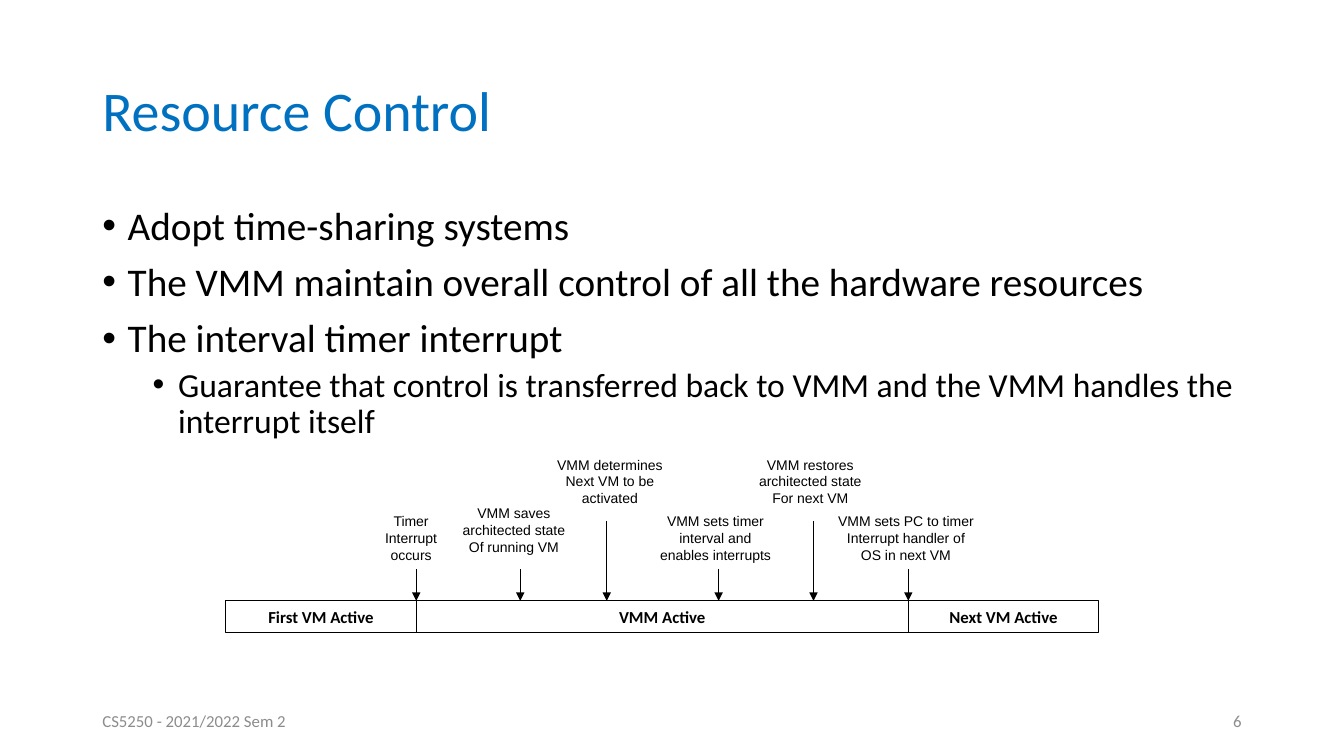
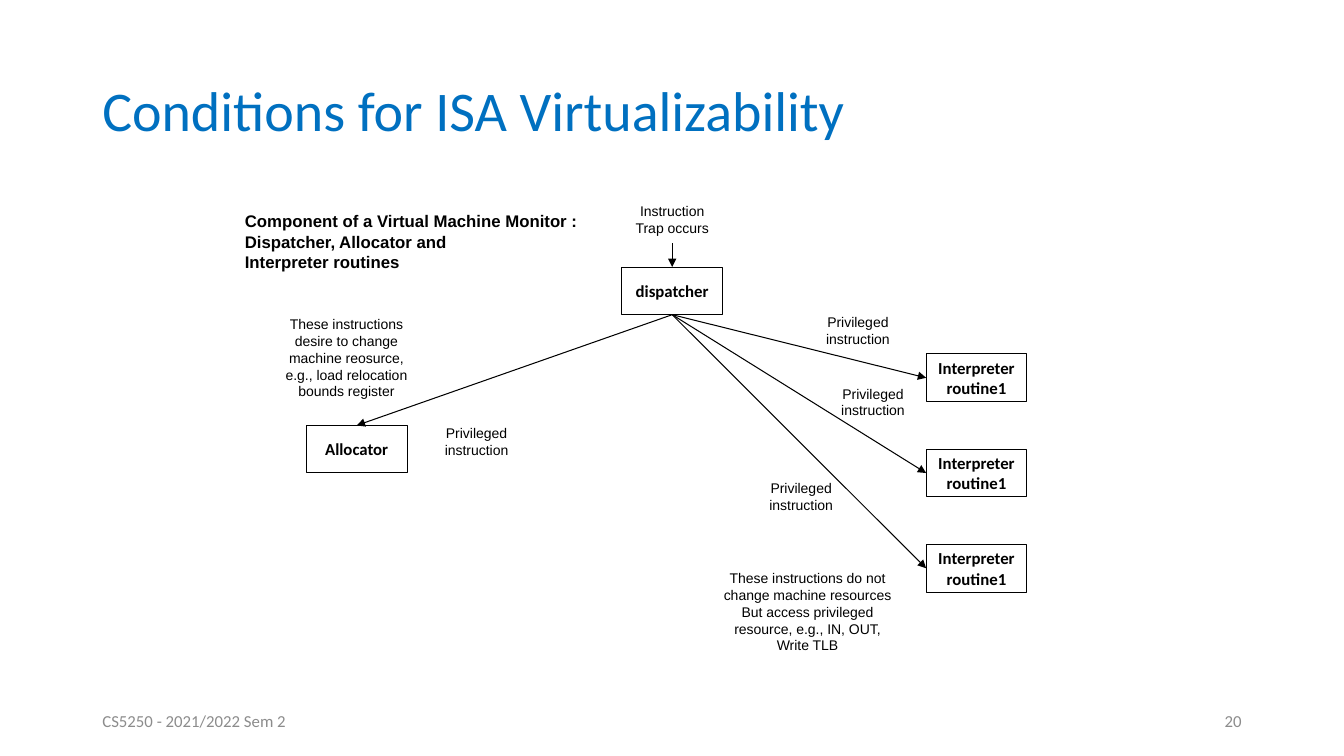
from lxml.etree import SubElement as Sub
from pptx import Presentation
from pptx.dml.color import RGBColor as Rgb
from pptx.enum.shapes import MSO_CONNECTOR as Link, MSO_SHAPE as Form
from pptx.enum.text import MSO_ANCHOR as Anchor, PP_ALIGN as Align
from pptx.oxml.ns import qn
from pptx.util import Cm, Pt

HUES = {"title": "0070C0", "ink": "000000", "foot": "8C8C8C"}
BODY, NOTE = "Calibri", "Arial"
LEFT, WIDE = 2.33, 29.21


def put(page, text, area, size=10, font=NOTE, hue="ink", bold=False,
        align=Align.CENTER, frame=False):
    spot = [Cm(n) for n in area]
    if frame:
        item = page.shapes.add_shape(Form.RECTANGLE, *spot)
        item.shadow.inherit = False
        item.fill.background()
        item.line.color.rgb = Rgb.from_string(HUES["ink"])
        item.line.width = Pt(0.75)
    else:
        item = page.shapes.add_textbox(*spot)
    body = item.text_frame
    body.text = text
    body.word_wrap = not frame
    body.vertical_anchor = Anchor.MIDDLE
    for para in body.paragraphs:
        para.alignment = align
        for run in para.runs:
            run.font.size = Pt(size)
            run.font.name = font
            run.font.bold = bold
            run.font.color.rgb = Rgb.from_string(HUES[hue])
    return item


def arrow(page, x, top, end):
    line = page.shapes.add_connector(Link.STRAIGHT, Cm(x), Cm(top), Cm(x), Cm(end))
    line.line.color.rgb = Rgb.from_string(HUES["ink"])
    line.line.width = Pt(0.75)
    props = line._element.spPr
    Sub(props.find(qn("a:ln")), qn("a:tailEnd"), type="triangle")
    Sub(props, qn("a:effectLst"))
    return line


deck = Presentation()
deck.slide_width, deck.slide_height = Cm(33.87), Cm(19.05)
pages = []
for title, num in [("Resource Control", "6"), ("Conditions for ISA Virtualizability", "20")]:
    page = deck.slides.add_slide(deck.slide_layouts[6])
    head = put(page, title, (LEFT, 1.01, WIDE, 3.68), 40, BODY, "title", align=Align.LEFT)
    head.text_frame.paragraphs[0].line_spacing = 0.9
    put(page, "CS5250 - 2021/2022 Sem 2", (LEFT, 17.65, 7.62, 1.01), 12, BODY, "foot",
        align=Align.LEFT)
    put(page, num, (LEFT + WIDE - 7.62, 17.65, 7.62, 1.01), 12, BODY, "foot",
        align=Align.RIGHT)
    pages.append(page)
time, trap = pages

points = [
    ("Adopt time-sharing systems", 0),
    ("The VMM maintain overall control of all the hardware resources", 0),
    ("The interval timer interrupt", 0),
    ("Guarantee that control is transferred back to VMM and the VMM handles the interrupt itself", 1),
]
list_box = put(time, "\n".join(text for text, _ in points), (LEFT, 5.07, WIDE, 6.2), 28, BODY,
               align=Align.LEFT)
list_box.text_frame.vertical_anchor = Anchor.TOP
for para, (_, level) in zip(list_box.text_frame.paragraphs, points):
    para.level = level
    para.line_spacing = 0.9
    para.space_before = Pt(5 if level else 10)
    para.runs[0].font.size = Pt(24 if level else 28)
    props = para._p.get_or_add_pPr()
    props.set("marL", str(Cm(0.64 + 1.27 * level)))
    props.set("indent", str(-Cm(0.64)))
    Sub(props, qn("a:buFont"), typeface="Arial")
    Sub(props, qn("a:buChar"), char="•")

bar = 15.14
edges = [5.69, 10.49, 22.89, 27.69]
for text, start, stop in zip(["First VM Active", "VMM Active", "Next VM Active"], edges, edges[1:]):
    put(time, text, (start, bar, stop - start, 0.8), 12, BODY, bold=True, frame=True)

high, low = 13.13, 14.35
steps = [
    ("Timer\nInterrupt\noccurs", 10.36, 12.9, 1.8, 10.49, low),
    ("VMM saves\narchitected state\nOf running VM", 12.95, 12.7, 3, 13.11, low),
    ("VMM determines\nNext VM to be\nactivated", 15.37, 11.48, 3, 15.29, high),
    ("VMM sets timer\ninterval and\nenables interrupts", 18.03, 12.9, 3.2, 18.11, low),
    ("VMM restores\narchitected state\nFor next VM", 20.42, 11.48, 3, 20.5, high),
    ("VMM sets PC to timer\nInterrupt handler of\nOS in next VM", 22.83, 12.9, 3.8, 22.89, low),
]
for text, mid, y, wide, tip, top in steps:
    label = put(time, text, (mid - wide / 2, y, wide, 1.3))
    frame = label.text_frame
    frame.margin_left = frame.margin_right = frame.margin_top = frame.margin_bottom = 0
    arrow(time, tip, top, bar)

nodes = [("dispatcher", 15.67, 6.73), ("Allocator", 7.72, 10.72)]
nodes += [("Interpreter\nroutine1", 23.34, 8.92 + 2.4 * i) for i in range(3)]
hub, store, *tasks = [put(trap, text, (x, y, 2.54, 1.2), 12, BODY, bold=True, frame=True)
                      for text, x, y in nodes]
start = put(trap, "Instruction\nTrap occurs", (15.67, 4.93, 2.54, 1.2))
for source, goal, side in [(start, hub, 0), (hub, store, 0)] + [(hub, task, 1) for task in tasks]:
    line = arrow(trap, 16.94, 6.13, 6.73)
    line.begin_connect(source, 2)
    line.end_connect(goal, side)

for x, y in [(20.35, 7.72), (20.73, 9.53), (18.92, 11.91), (10.74, 10.52)]:
    put(trap, "Privileged\ninstruction", (x, y, 2.54, 1.2))
put(trap, "These instructions\ndesire to change\nmachine reosurce,\ne.g., load relocation\nbounds register",
    (6.73, 7.72, 4, 2.59))
put(trap, "These instructions do not\nchange machine resources\nBut access privileged\n"
    "resource, e.g., IN, OUT,\nWrite TLB", (17.85, 14.12, 5, 2.59))
put(trap, "Component of a Virtual Machine Monitor :\nDispatcher, Allocator and\nInterpreter routines",
    (5.92, 5.08, 9.5, 2.01), 12, bold=True, align=Align.LEFT)

deck.save("out.pptx")
